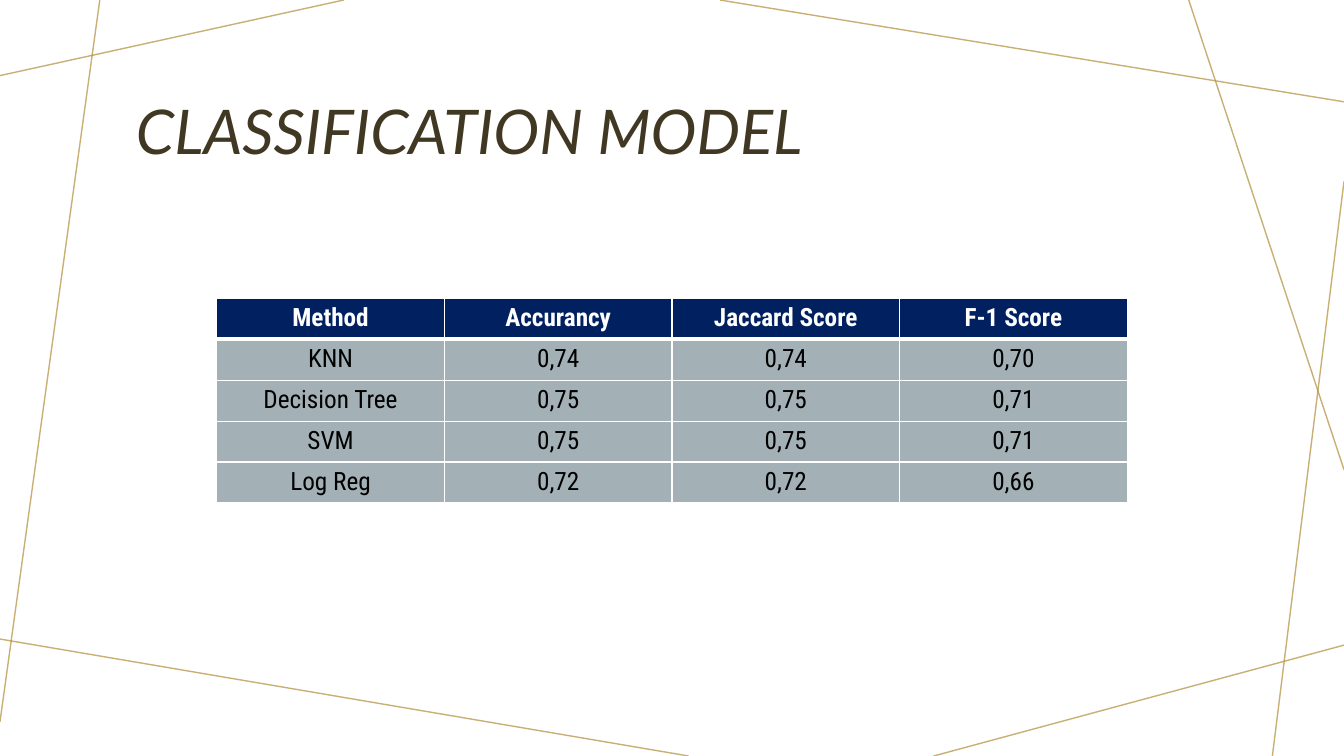
from lxml.etree import SubElement
from pptx import Presentation
from pptx.dml.color import RGBColor
from pptx.enum.shapes import MSO_CONNECTOR
from pptx.enum.text import MSO_ANCHOR, PP_ALIGN
from pptx.oxml.ns import qn
from pptx.util import Inches, Pt

COLORS = {
    "gold": "B18F3B",
    "title": "413824",
    "navy": "002060",
    "gray": "A3B1B7",
    "white": "FFFFFF",
    "black": "000000",
}
WIDTH, HEIGHT = 13.33, 7.5

# Ends of each background line: x1, y1, x2, y2
LINES = [
    (3.41, 0, 0, 0.75),
    (0.99, 0, 0, 7.16),
    (6.83, HEIGHT, 0, 6.34),
    (WIDTH, 6.4, 9.26, HEIGHT),
    (WIDTH, 1.8, 12.62, HEIGHT),
    (WIDTH, 4.66, 11.79, 0),
    (WIDTH, 1.01, 7.14, 0),
]
SCORES = [
    ("Method", "Accurancy", "Jaccard Score", "F-1 Score"),
    ("KNN", "0,74", "0,74", "0,70"),
    ("Decision Tree", "0,75", "0,75", "0,71"),
    ("SVM", "0,75", "0,75", "0,71"),
    ("Log Reg", "0,72", "0,72", "0,66"),
]


def rgb(name):
    """Return the named palette colour."""
    return RGBColor.from_string(COLORS[name])


def style_run(r, font, size, color, bold=False, italic=False):
    """Set the font of a run."""
    r.font.name = font
    r.font.size = Pt(size)
    r.font.color.rgb = rgb(color)
    r.font.bold = bold
    r.font.italic = italic


def add_background(slide, left, top):
    """Draw the crossing gold lines, offset from the given corner."""
    for x1, y1, x2, y2 in LINES:
        line = slide.shapes.add_connector(
            MSO_CONNECTOR.STRAIGHT,
            Inches(left + x1), Inches(top + y1),
            Inches(left + x2), Inches(top + y2))
        line.line.width = Pt(1)
        line.line.color.rgb = rgb("gold")
        spPr = line._element.spPr
        SubElement(next(spPr.iter(qn("a:srgbClr"))), qn("a:alpha"), val="70000")
        SubElement(spPr, qn("a:effectLst"))


def add_title(slide, left, top, width, height):
    """Add the slide title, centred vertically in its box."""
    sp = slide.shapes.add_textbox(*map(Inches, (left, top, width, height)))
    tf = sp.text_frame
    tf.word_wrap = True
    tf.vertical_anchor = MSO_ANCHOR.MIDDLE
    tf.text = "CLASSIFICATION MODEL"
    p = tf.paragraphs[0]
    p.line_spacing = 0.9
    style_run(p.runs[0], "Lato", 44, "title", italic=True)


def set_borders(cell, **widths):
    """Give a cell white borders, with widths in points by side."""
    tcPr = cell._tc.get_or_add_tcPr()
    for side in "LRTB":
        ln = SubElement(tcPr, qn(f"a:ln{side}"), w=str(Pt(widths.get(side, 1))))
        fill = SubElement(ln, qn("a:solidFill"))
        SubElement(fill, qn("a:srgbClr"), val=COLORS["white"])


def add_scores(slide, left, top, width, height):
    """Add the score table with equal rows and columns."""
    n_rows, n_cols = len(SCORES), len(SCORES[0])
    table = slide.shapes.add_table(
        n_rows, n_cols, *map(Inches, (left, top, width, height))).table
    for i, row in enumerate(SCORES):
        header = i == 0
        for j, text in enumerate(row):
            cell = table.cell(i, j)
            set_borders(cell, T=3 if i == 1 else 1, B=3 if header else 1)
            cell.fill.solid()
            cell.fill.fore_color.rgb = rgb("navy" if header else "gray")
            cell.text_frame.text = text
            p = cell.text_frame.paragraphs[0]
            p.alignment = PP_ALIGN.CENTER
            style_run(p.runs[0], "Roboto Condensed", 18,
                      "white" if header else "black", bold=header)


def build_slide(prs):
    """Build the classification model slide."""
    slide = prs.slides.add_slide(prs.slide_layouts[6])
    add_background(slide, 0, 0)
    add_title(slide, 1.25, 0.58, 10.83, 1.51)
    add_scores(slide, 2.15, 2.96, 9.03, 2.03)


prs = Presentation()
prs.slide_width = Inches(WIDTH)
prs.slide_height = Inches(HEIGHT)
build_slide(prs)
prs.save("out.pptx")
